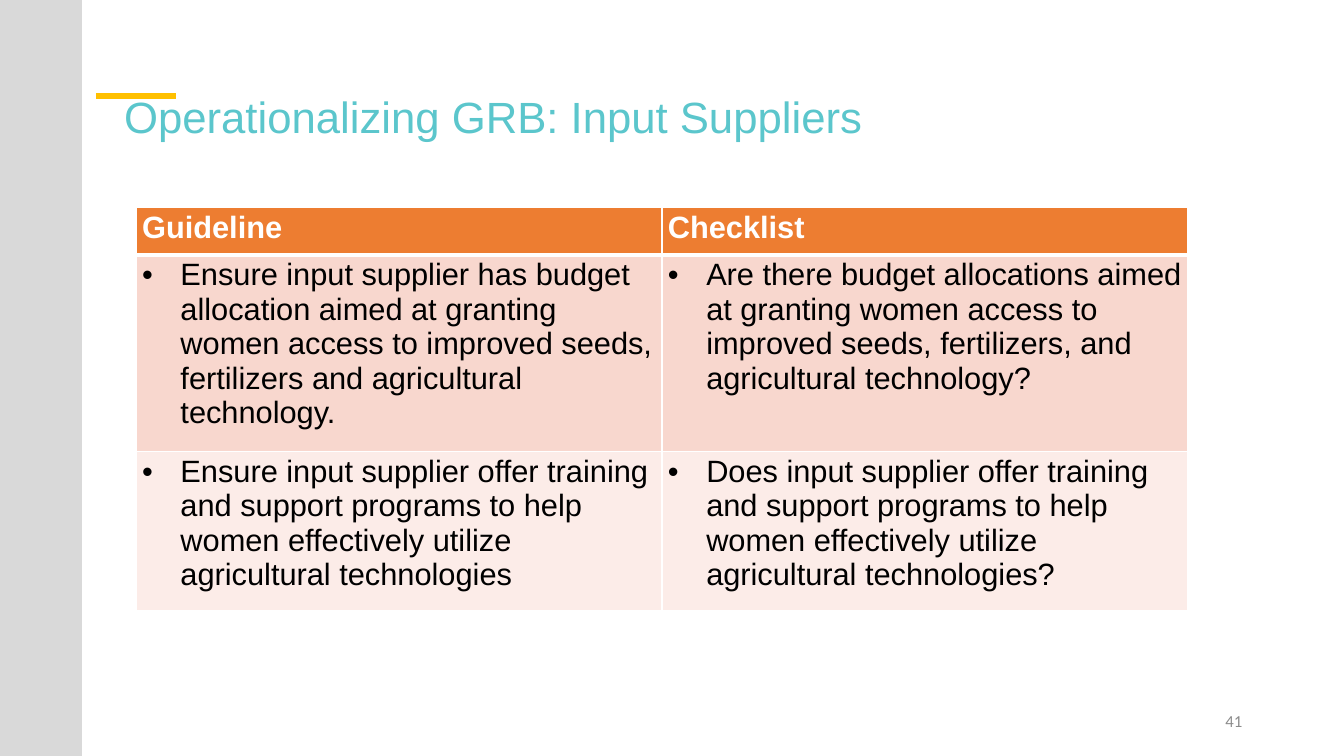
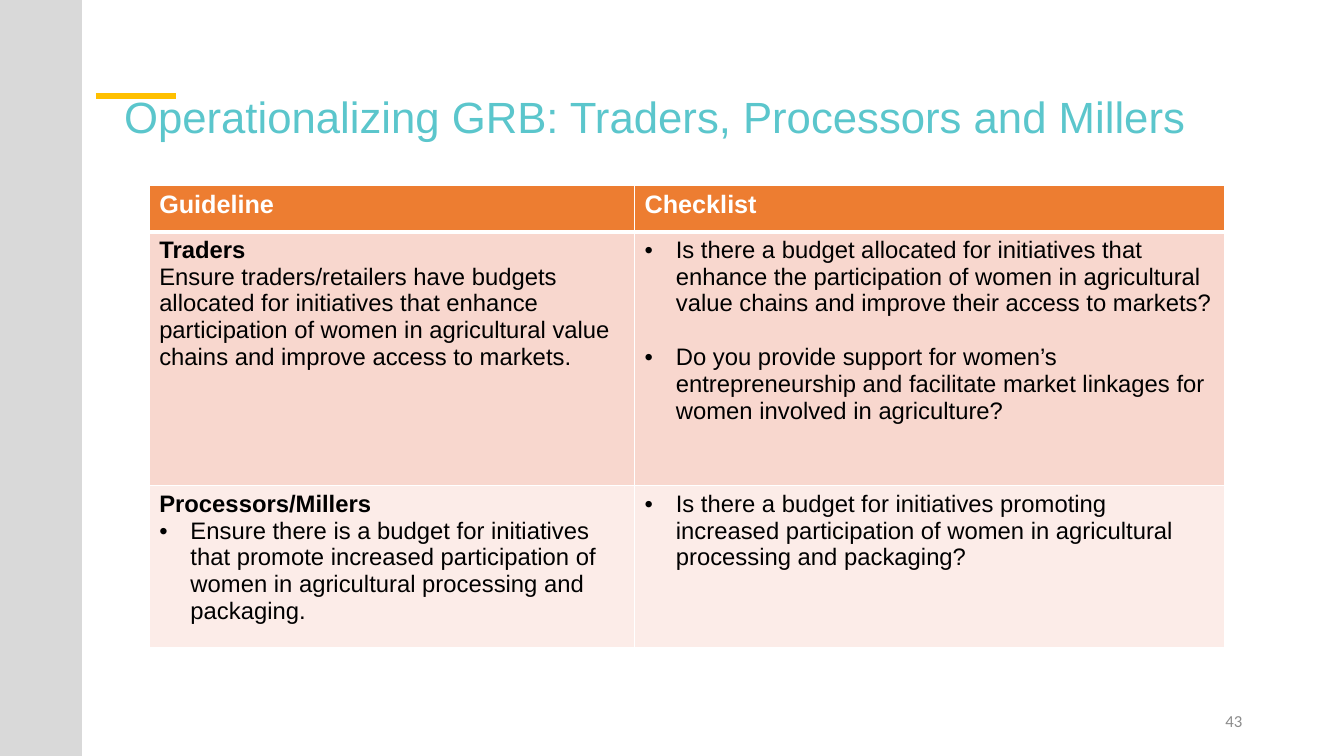
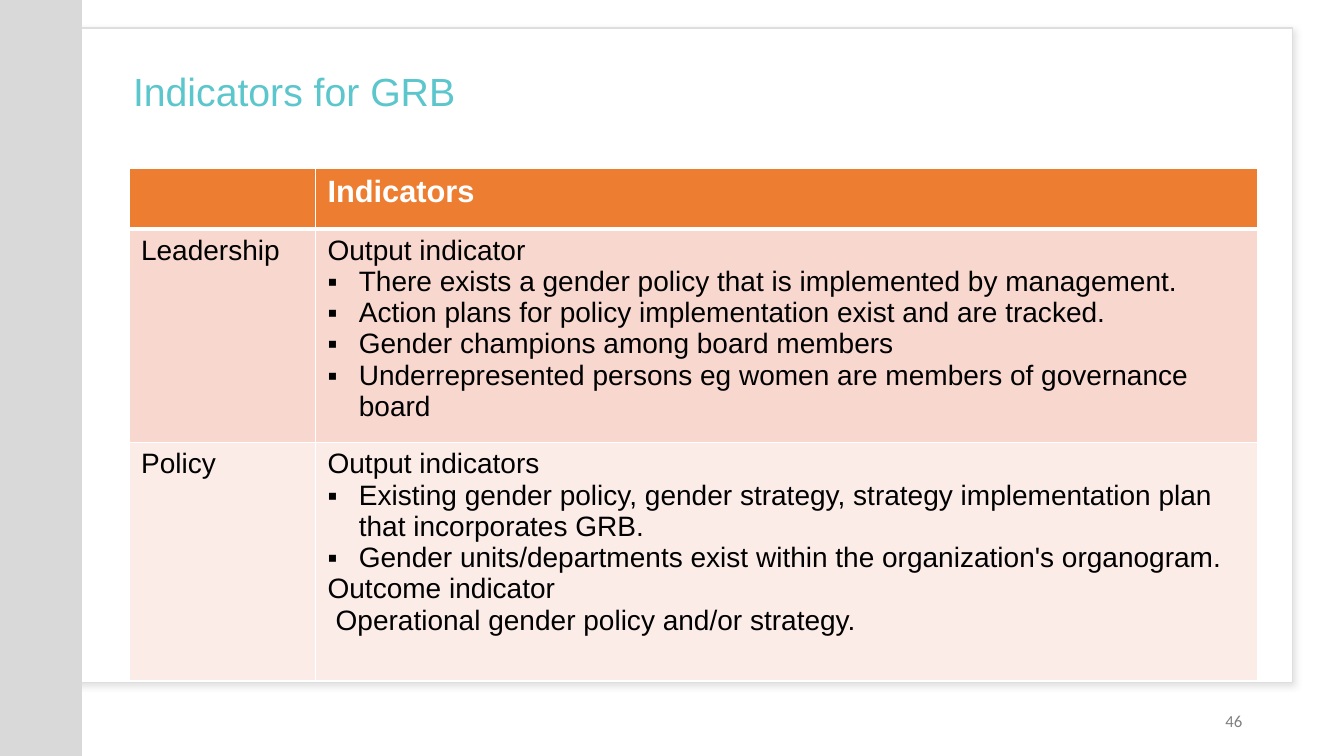
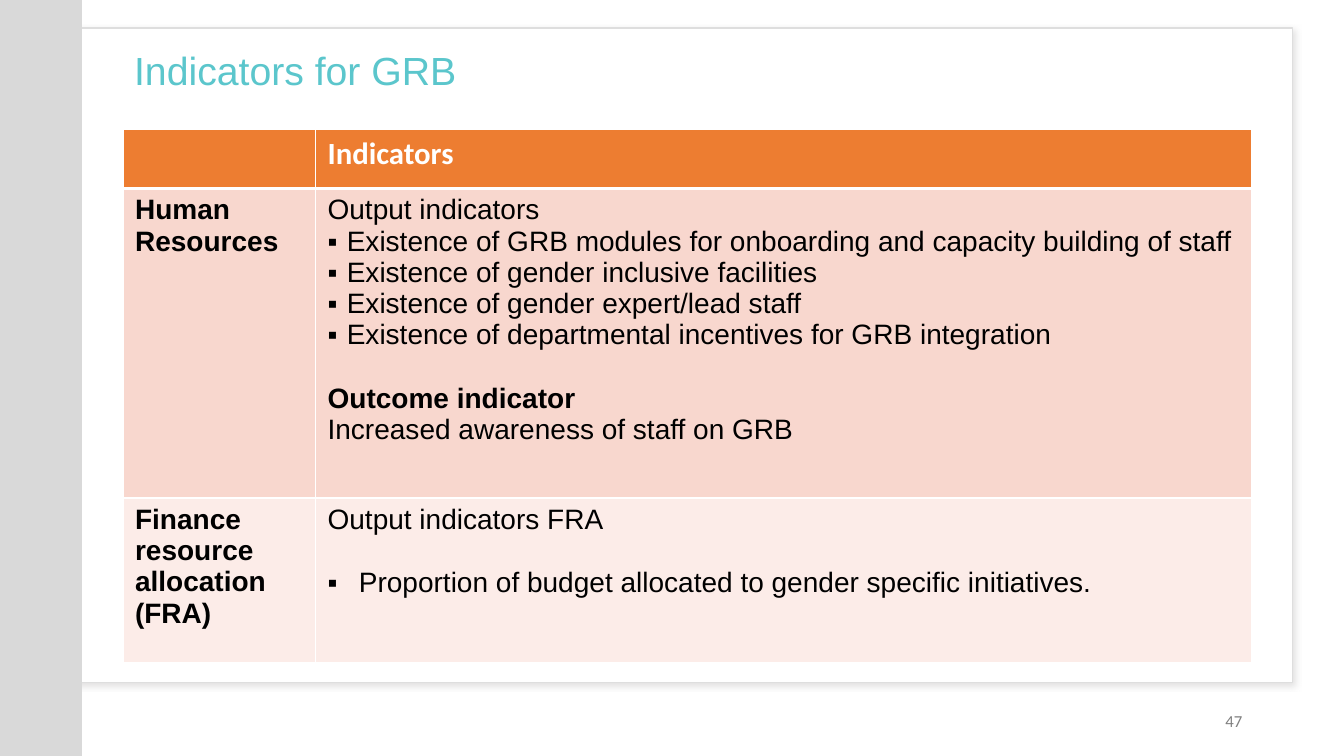
import dataclasses

import lxml.etree
import pptx
import pptx.dml.color
import pptx.enum.shapes
import pptx.enum.text
import pptx.oxml.ns
import pptx.util

ALIGN = pptx.enum.text.PP_ALIGN
ANCHOR = pptx.enum.text.MSO_ANCHOR
RECTANGLE = pptx.enum.shapes.MSO_SHAPE.RECTANGLE
qn = pptx.oxml.ns.qn


@dataclasses.dataclass(frozen=True)
class Theme:
    title: str = "5BC6CC"
    accent: str = "FFC000"
    band: str = "D9D9D9"
    white: str = "FFFFFF"
    panel_line: str = "DEDEDE"
    panel_shadow: str = "C5C3C3"
    header: str = "ED7D31"
    row_fills: tuple = ("F8D7CE", "FCECE8")
    text: str = "000000"
    number: str = "8C8C8C"
    panel_number: str = "808080"
    font: str = "Arial"
    second_font: str = "Calibri"
    title_size: float = 31.2
    panel_title_size: float = 28
    large: float = 22
    body: float = 20
    header_small: float = 18
    body_small: float = 17
    number_size: float = 12
    line_height: float = 1.15


THEME = Theme()
SLIDE_WIDTH = pptx.util.Inches(13.33)
SLIDE_HEIGHT = pptx.util.Inches(7.5)


@dataclasses.dataclass(frozen=True)
class Box:
    """Percent shares of the slide's width and height."""
    left: float
    top: float
    width: float
    height: float

    def place(self):
        return (
            int(SLIDE_WIDTH * self.left / 100),
            int(SLIDE_HEIGHT * self.top / 100),
            int(SLIDE_WIDTH * self.width / 100),
            int(SLIDE_HEIGHT * self.height / 100),
        )


@dataclasses.dataclass(frozen=True)
class Entry:
    text: str
    bullet: str = ""
    indent: float = 0
    bold: bool = False
    gap: bool = False


@dataclasses.dataclass(frozen=True)
class Grid:
    box: Box
    columns: tuple
    rows: tuple
    header_size: float
    body_size: float
    inset: float
    header_font: str = THEME.font


BAND = Box(0, 0, 6.1, 100)
ACCENT = Box(7.13, 12.67, 6, 0)
NUMBER = Box(70.67, 92.67, 22.5, 5.33)
PANEL = Box(4.58, 3.73, 91.6, 86.53)


def rgb(value):
    return pptx.dml.color.RGBColor.from_string(value)


def style(para, size, color, font=THEME.font, bold=False):
    for span in para.runs:
        span.font.size = pptx.util.Pt(size)
        span.font.name = font
        span.font.bold = bold
        span.font.color.rgb = rgb(color)


def add_rectangle(page, box, fill, line=None):
    shape = page.shapes.add_shape(RECTANGLE, *box.place())
    shape.shadow.inherit = False
    shape.fill.solid()
    shape.fill.fore_color.rgb = rgb(fill)
    if line:
        shape.line.color.rgb = rgb(line)
        shape.line.width = pptx.util.Pt(1)
    else:
        shape.line.fill.background()
    return shape


def add_panel(page, box):
    panel = add_rectangle(page, box, THEME.white, THEME.panel_line)
    effects = panel.element.spPr.find(qn("a:effectLst"))
    shadow = lxml.etree.SubElement(
        effects, qn("a:outerShdw"), blurRad=str(pptx.util.Pt(4)),
        dist=str(pptx.util.Pt(3)), dir="2700000", rotWithShape="0")
    color = lxml.etree.SubElement(shadow, qn("a:srgbClr"), val=THEME.panel_shadow)
    lxml.etree.SubElement(color, qn("a:alpha"), val="50000")
    page.shapes.title.element.addprevious(panel.element)


def add_accent(page, box):
    left, top, width, height = box.place()
    line = page.shapes.add_connector(
        pptx.enum.shapes.MSO_CONNECTOR.STRAIGHT, left, top, left + width, top + height)
    line.line.color.rgb = rgb(THEME.accent)
    line.line.width = pptx.util.Pt(4.5)
    lxml.etree.SubElement(line.element.spPr, qn("a:effectLst"))


def set_title(page, box, text, size, anchor):
    title = page.shapes.title
    title.left, title.top, title.width, title.height = box.place()
    frame = title.text_frame
    frame.text = text
    frame.word_wrap = True
    frame.auto_size = pptx.enum.text.MSO_AUTO_SIZE.NONE
    frame.vertical_anchor = anchor
    para = frame.paragraphs[0]
    para.alignment = ALIGN.LEFT
    para.line_spacing = 0.9
    style(para, size, THEME.title)


def add_number(page, box, number, color):
    frame = page.shapes.add_textbox(*box.place()).text_frame
    frame.word_wrap = True
    frame.vertical_anchor = ANCHOR.MIDDLE
    frame.text = str(number)
    para = frame.paragraphs[0]
    para.alignment = ALIGN.RIGHT
    para.space_after = pptx.util.Pt(6)
    style(para, THEME.number_size, color, THEME.second_font)


def set_borders(cell, widths):
    properties = cell._tc.get_or_add_tcPr()
    for place, (side, width) in enumerate(widths.items()):
        line = lxml.etree.Element(qn("a:ln" + side), w=str(pptx.util.Pt(width)))
        fill = lxml.etree.SubElement(line, qn("a:solidFill"))
        lxml.etree.SubElement(fill, qn("a:srgbClr"), val=THEME.white)
        properties.insert(place, line)


def set_indent(para, entry):
    properties = para._p.get_or_add_pPr()
    margin = pptx.util.Inches(entry.indent)
    properties.set("marL", str(margin))
    properties.set("indent", str(-margin if entry.bullet else 0))
    if entry.bullet:
        lxml.etree.SubElement(properties, qn("a:buFont"), typeface=THEME.font)
        lxml.etree.SubElement(properties, qn("a:buChar"), char=entry.bullet)


def fill_cell(cell, entries, size, color, font):
    frame = cell.text_frame
    frame.text = "\n".join(entry.text for entry in entries)
    for para, entry in zip(frame.paragraphs, entries):
        set_indent(para, entry)
        if entry.gap:
            para.space_before = pptx.util.Pt(round(size * THEME.line_height, 1))
        style(para, size, color, font, entry.bold)


def add_grid(page, grid, headings, content):
    left, top, width, height = grid.box.place()
    table = page.shapes.add_table(
        len(grid.rows), len(grid.columns), left, top, width, height).table
    table.horz_banding = False
    for column, share in zip(table.columns, grid.columns):
        column.width = int(width * share / sum(grid.columns))
    for row, share in zip(table.rows, grid.rows):
        row.height = int(height * share / sum(grid.rows))
    header = [[Entry(text, bold=True)] if text else [] for text in headings]
    for index, cells in enumerate([header, *content]):
        is_header = index == 0
        if is_header:
            fill, color = THEME.header, THEME.white
            size, font = grid.header_size, grid.header_font
        else:
            fill, color = THEME.row_fills[(index - 1) % 2], THEME.text
            size, font = grid.body_size, THEME.font
        borders = {"L": 1, "R": 1, "T": 3 if index == 1 else 1, "B": 3 if is_header else 1}
        for number, entries in enumerate(cells):
            cell = table.cell(index, number)
            cell.margin_left = cell.margin_right = pptx.util.Inches(grid.inset)
            cell.margin_top = cell.margin_bottom = pptx.util.Inches(grid.inset / 2)
            cell.fill.solid()
            cell.fill.fore_color.rgb = rgb(fill)
            set_borders(cell, borders)
            if entries:
                fill_cell(cell, entries, size, color, font)


def add_page(deck):
    return deck.slides.add_slide(deck.slide_layouts.get_by_name("Title Only"))


def guideline_page(deck, number, title, grid, content):
    page = add_page(deck)
    set_title(page, Box(8.48, 4.8, 85.45, 14.8), title, THEME.title_size, ANCHOR.BOTTOM)
    add_accent(page, ACCENT)
    add_number(page, NUMBER, number, THEME.number)
    add_grid(page, grid, ("Guideline", "Checklist"), content)
    add_rectangle(page, BAND, THEME.band)


def indicator_page(deck, number, title_box, grid, content):
    page = add_page(deck)
    set_title(page, title_box, "Indicators for GRB", THEME.panel_title_size, ANCHOR.MIDDLE)
    add_panel(page, PANEL)
    add_number(page, NUMBER, number, THEME.panel_number)
    add_grid(page, grid, ("", "Indicators"), content)
    add_rectangle(page, BAND, THEME.band)


def dots(*texts, indent=0.31):
    return [Entry(text, "•", indent, gap=place > 0) for place, text in enumerate(texts)]


def squares(*texts, indent=0.31, gap=False):
    return [Entry(text, "▪", indent, gap=gap) for text in texts]


def main():
    deck = pptx.Presentation()
    deck.slide_width, deck.slide_height = SLIDE_WIDTH, SLIDE_HEIGHT

    guideline_page(
        deck, 41, "Operationalizing GRB: Input Suppliers",
        Grid(Box(10.13, 27.47, 78.24, 53.33), (1, 1), (0.47, 1.95, 1.58),
             THEME.large, THEME.large, 0.06),
        [
            [dots("Ensure input supplier has budget allocation aimed at granting women "
                  "access to improved seeds, fertilizers and agricultural technology.",
                  indent=0.38),
             dots("Are there budget allocations aimed at granting women access to improved "
                  "seeds, fertilizers, and agricultural technology?", indent=0.38)],
            [dots("Ensure input supplier offer training and support programs to help women "
                  "effectively utilize agricultural technologies", indent=0.38),
             dots("Does input supplier offer training and support programs to help women "
                  "effectively utilize agricultural technologies?", indent=0.38)],
        ])

    guideline_page(
        deck, 43, "Operationalizing GRB: Traders, Processors and Millers",
        Grid(Box(11.1, 24.53, 80.04, 61.2), (4.81, 5.85), (0.46, 2.52, 1.61),
             THEME.header_small, THEME.body_small, 0.1),
        [
            [[Entry("Traders", bold=True),
              Entry("Ensure traders/retailers have budgets allocated for initiatives that "
                    "enhance participation of women in agricultural value chains and "
                    "improve access to markets.")],
             dots("Is there a budget allocated for initiatives that enhance the participation "
                  "of women in agricultural value chains and improve their access to markets?",
                  "Do you provide support for women’s entrepreneurship and facilitate market "
                  "linkages for women involved in agriculture?")],
            [[Entry("Processors/Millers", bold=True),
              *dots("Ensure there is a budget for initiatives that promote increased "
                    "participation of women in agricultural processing and packaging.")],
             dots("Is there a budget for initiatives promoting increased participation of "
                  "women in agricultural processing and packaging?")],
        ])

    indicator_page(
        deck, 46, Box(9.15, 4.8, 83.95, 15.33),
        Grid(Box(9.6, 22.27, 83.95, 65.87), (1.85, 9.34), (0.6, 1.98, 2.36),
             THEME.large, THEME.body, 0.12),
        [
            [[Entry("Leadership")],
             [Entry("Output indicator"),
              *squares("There exists a gender policy that is implemented by management.",
                       "Action plans for policy implementation exist and are tracked.",
                       "Gender champions among board members",
                       "Underrepresented persons eg women are members of governance board")]],
            [[Entry("Policy")],
             [Entry("Output indicators"),
              *squares("Existing gender policy, gender strategy, strategy implementation plan "
                       "that incorporates GRB.",
                       "Gender units/departments exist within the organization's organogram."),
              Entry("Outcome indicator"),
              Entry("Operational gender policy and/or strategy.", indent=0.08)]],
        ])

    indicator_page(
        deck, 47, Box(9.23, 2.27, 83.95, 14.8),
        Grid(Box(9.15, 17.07, 83.95, 70.53), (1.91, 9.28), (0.59, 3.07, 1.63),
             THEME.large, THEME.body, 0.12, THEME.second_font),
        [
            [[Entry("Human Resources", bold=True)],
             [Entry("Output indicators"),
              *squares("Existence of GRB modules for onboarding and capacity building of staff",
                       "Existence of gender inclusive facilities",
                       "Existence of gender expert/lead staff",
                       "Existence of departmental incentives for GRB integration",
                       indent=0.19),
              Entry("Outcome indicator", bold=True, gap=True),
              Entry("Increased awareness of staff on GRB")]],
            [[Entry("Finance resource allocation (FRA)", bold=True)],
             [Entry("Output indicators FRA"),
              *squares("Proportion of budget allocated to gender specific initiatives.",
                       gap=True)]],
        ])

    deck.save("out.pptx")


if __name__ == "__main__":
    main()
